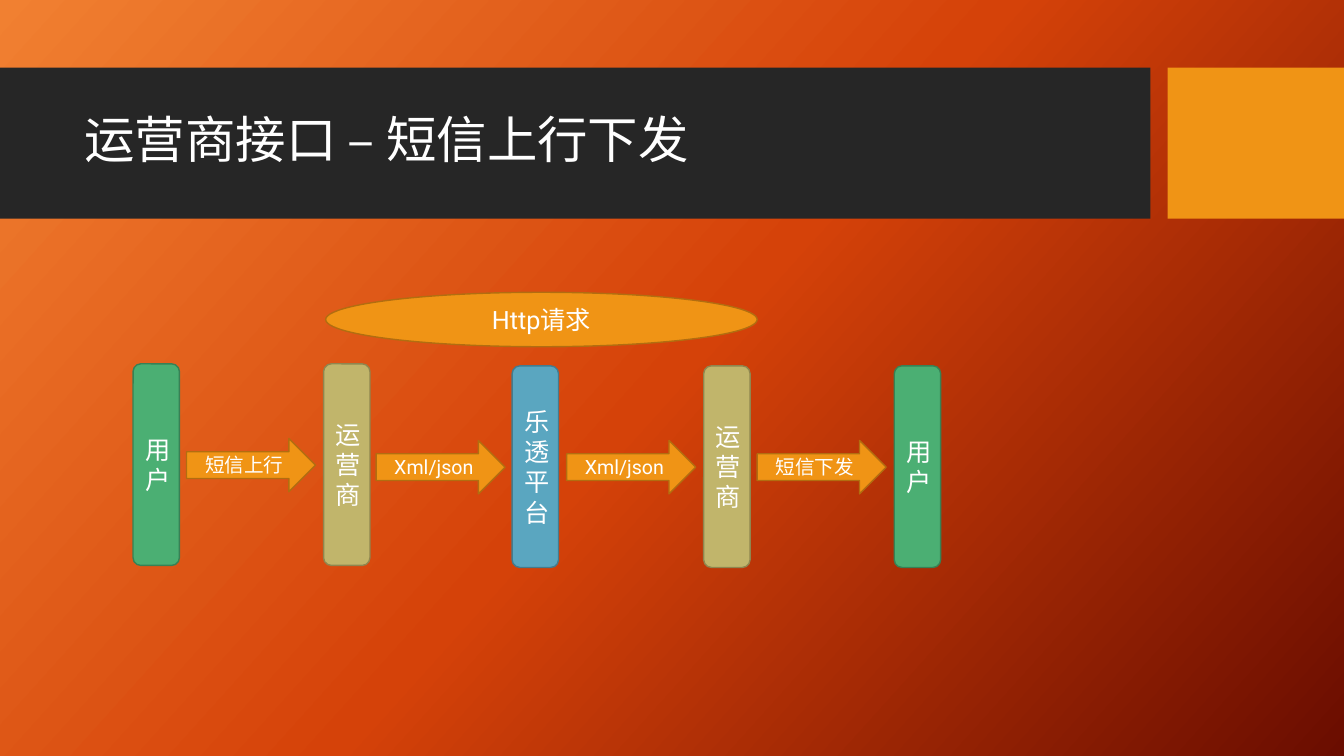
from copy import deepcopy
from dataclasses import dataclass

from pptx import Presentation
from pptx.dml.color import RGBColor
from pptx.enum.shapes import MSO_SHAPE as Shape
from pptx.enum.text import MSO_ANCHOR as Anchor, PP_ALIGN as Align
from pptx.oxml.ns import qn
from pptx.util import Inches, Pt


@dataclass(frozen=True)
class Theme:
    font: str = "Roboto"
    white: str = "FFFFFF"
    band: str = "262626"
    # Each pair is fill and outline
    orange: tuple = ("F09415", "B26D10")
    green: tuple = ("4BAF73", "378155")
    khaki: tuple = ("C1B56B", "8F864F")
    blue: tuple = ("5AA6C0", "437B8E")
    backdrop: tuple = ((0, "F18031"), (0.5, "D54209"), (1, "6A0D00"))
    backdrop_angle: int = 318
    title_size: int = 36
    body_size: int = 18
    arrow_size: int = 14


THEME = Theme()

# Text, colours, left, top
NODES = (
    ("用户", THEME.green, 1.32, 3.61),
    ("运营商", THEME.khaki, 3.21, 3.61),
    ("乐透平台", THEME.blue, 5.08, 3.63),
    ("运营商", THEME.khaki, 6.98, 3.63),
    ("用户", THEME.green, 8.87, 3.63),
)
# Text, left, top
MESSAGES = (
    ("短信上行", 1.85, 4.35),
    ("Xml/json", 3.73, 4.37),
    ("Xml/json", 5.62, 4.37),
    ("短信下发", 7.51, 4.37),
)


def paint_backdrop(page):
    fill = page.background.fill
    fill.gradient()
    fill.gradient_angle = THEME.backdrop_angle
    stop_list = page.element.find(".//" + qn("a:gsLst"))
    stop_list.append(deepcopy(stop_list[0]))
    for stop, (position, color) in zip(fill.gradient_stops, THEME.backdrop):
        stop.position = position
        stop.color.rgb = RGBColor.from_string(color)


def write(box, text, size, align):
    frame = box.text_frame
    frame.word_wrap = True
    frame.vertical_anchor = Anchor.MIDDLE
    para = frame.paragraphs[0]
    para.alignment = align
    span = para.add_run()
    span.text = text
    span.font.name = THEME.font
    span.font.size = Pt(size)
    span.font.color.rgb = RGBColor.from_string(THEME.white)
    return para


def add_block(page, kind, area, fill, line=None):
    """Add a flat shape; without a line colour it has no outline."""
    block = page.shapes.add_shape(kind, *map(Inches, area))
    block.shadow.inherit = False
    block.fill.solid()
    block.fill.fore_color.rgb = RGBColor.from_string(fill)
    if line:
        block.line.color.rgb = RGBColor.from_string(line)
        block.line.width = Pt(1)
    else:
        block.line.fill.background()
    return block


def add_label(page, kind, area, colors, text, size):
    write(add_block(page, kind, area, *colors), text, size, Align.CENTER)


def add_title(page, text):
    add_block(page, Shape.RECTANGLE, (0, 0.67, 11.41, 1.5), THEME.band)
    add_block(page, Shape.RECTANGLE, (11.58, 0.67, 1.75, 1.5), THEME.orange[0])
    box = page.shapes.add_textbox(*map(Inches, (0.74, 0.82, 10.51, 1.18)))
    write(box, text, THEME.title_size, Align.LEFT).line_spacing = 0.9


def main():
    deck = Presentation()
    deck.slide_width, deck.slide_height = Inches(13.33), Inches(7.5)
    page = deck.slides.add_slide(deck.slide_layouts[6])
    paint_backdrop(page)
    add_title(page, "运营商接口 – 短信上行下发")
    for text, colors, left, top in NODES:
        add_label(page, Shape.ROUNDED_RECTANGLE, (left, top, 0.46, 2),
                  colors, text, THEME.body_size)
    for text, left, top in MESSAGES:
        add_label(page, Shape.RIGHT_ARROW, (left, top, 1.28, 0.53),
                  THEME.orange, text, THEME.arrow_size)
    add_label(page, Shape.OVAL, (3.23, 2.9, 4.28, 0.54),
              THEME.orange, "Http请求", THEME.body_size)
    deck.save("out.pptx")


if __name__ == "__main__":
    main()
